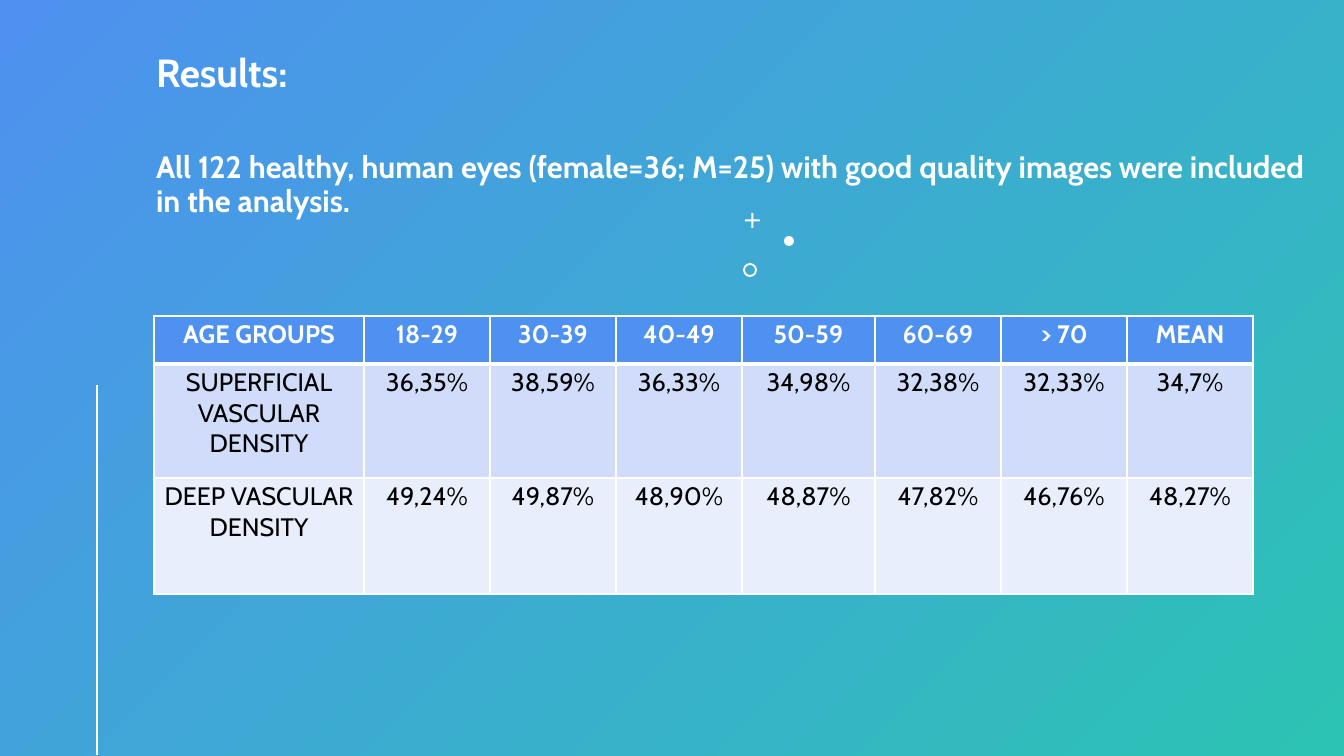
"""Build the results slide with vascular density by age group."""
from dataclasses import dataclass

from lxml import etree
from pptx import Presentation
from pptx import util as u
from pptx.dml.color import RGBColor
from pptx.enum import shapes, text
from pptx.oxml.ns import qn

SCALE = 914400 / 100.8
FONT = "Cabin"
WHITE = RGBColor(0xFF, 0xFF, 0xFF)
BLACK = RGBColor(0x00, 0x00, 0x00)
BLUE = RGBColor(0x4E, 0x91, 0xF0)
TEAL = RGBColor(0x2C, 0xC3, 0xB4)
PALE_BLUE = RGBColor(0xD0, 0xDC, 0xF9)
PALER_BLUE = RGBColor(0xE9, 0xEE, 0xFC)


@dataclass(frozen=True)
class Ornament:
    kind: shapes.MSO_SHAPE
    left: int
    top: int
    size: int
    adjustment: float | None = None


@dataclass(frozen=True)
class Row:
    height: int
    fill: RGBColor
    colour: RGBColor
    bold: bool
    top_border: int
    bottom_border: int
    values: tuple[str, ...]


@dataclass(frozen=True)
class Heading:
    words: str
    size: int
    space_before: int


HEADINGS = (
    Heading("Results:", 28, 0),
    Heading("All 122 healthy, human eyes (female=36; M=25) with good quality "
            "images were included in the analysis.", 22, 34),
)
ORNAMENTS = (
    Ornament(shapes.MSO_SHAPE.CROSS, 745, 213, 15, 0.43),
    Ornament(shapes.MSO_SHAPE.OVAL, 784, 236, 10),
    Ornament(shapes.MSO_SHAPE.DONUT, 743, 263, 14, 0.14),
)
COLUMNS = (210, 126, 126, 126, 133, 126, 126, 126)
ROWS = (
    Row(48, BLUE, WHITE, True, 1, 3,
        ("AGE GROUPS", "18-29", "30-39", "40-49", "50-59", "60-69", "> 70", "MEAN")),
    Row(114, PALE_BLUE, BLACK, False, 3, 1,
        ("SUPERFICIAL VASCULAR DENSITY", "36,35%", "38,59%", "36,33%",
         "34,98%", "32,38%", "32,33%", "34,7%")),
    Row(116, PALER_BLUE, BLACK, False, 1, 1,
        ("DEEP VASCULAR DENSITY", "49,24%", "49,87%", "48,90%",
         "48,87%", "47,82%", "46,76%", "48,27%")),
)


def px(length: int) -> u.Emu:
    return u.Emu(round(length * SCALE))


def style(para, size: int, colour: RGBColor, bold: bool) -> None:
    for span in para.runs:
        span.font.name = FONT
        span.font.size = u.Pt(size)
        span.font.bold = bold
        span.font.color.rgb = colour


def draw_backdrop(page) -> None:
    backdrop = page.shapes.add_shape(shapes.MSO_SHAPE.RECTANGLE, 0, 0, px(1344), px(756))
    backdrop.shadow.inherit = False
    backdrop.line.fill.background()
    backdrop.fill.gradient()
    backdrop.fill.gradient_angle = 315
    for stop, colour in zip(backdrop.fill.gradient_stops, (BLUE, TEAL)):
        stop.color.rgb = colour
    page.shapes.title.element.addprevious(backdrop.element)


def write_title(page) -> None:
    title = page.shapes.title
    title.left, title.top, title.width, title.height = map(px, (146, 21, 1178, 203))
    frame = title.text_frame
    frame.word_wrap = True
    frame.auto_size = text.MSO_AUTO_SIZE.NONE
    frame.vertical_anchor = text.MSO_ANCHOR.BOTTOM
    frame.text = "\n".join(heading.words for heading in HEADINGS)
    for para, heading in zip(frame.paragraphs, HEADINGS):
        para.alignment = text.PP_ALIGN.LEFT
        para.line_spacing = 0.9
        para.space_before = u.Pt(heading.space_before)
        para.space_after = u.Pt(6)
        style(para, heading.size, WHITE, True)


def draw_ornament(page, ornament: Ornament) -> None:
    size = px(ornament.size)
    mark = page.shapes.add_shape(ornament.kind, px(ornament.left), px(ornament.top), size, size)
    mark.shadow.inherit = False
    mark.fill.solid()
    mark.fill.fore_color.rgb = WHITE
    mark.line.fill.background()
    if ornament.adjustment is not None:
        mark.adjustments[0] = ornament.adjustment


def draw_side_line(page) -> None:
    line = page.shapes.add_connector(
        shapes.MSO_CONNECTOR.STRAIGHT, px(97), px(385), px(97), px(755))
    line.line.color.rgb = WHITE
    line.line.width = u.Pt(2)
    etree.SubElement(line.element.spPr, qn("a:effectLst"))


def set_borders(cell, row: Row) -> None:
    widths = {"L": 1, "R": 1, "T": row.top_border, "B": row.bottom_border}
    properties = cell._tc.get_or_add_tcPr()
    for position, (side, width) in enumerate(widths.items()):
        border = etree.Element(qn(f"a:ln{side}"), w=str(u.Pt(width)))
        fill = etree.SubElement(border, qn("a:solidFill"))
        etree.SubElement(fill, qn("a:srgbClr"), val=str(WHITE))
        properties.insert(position, border)


def fill_cell(cell, value: str, row: Row) -> None:
    cell.margin_left = cell.margin_right = px(6)
    cell.margin_top = cell.margin_bottom = px(3)
    cell.fill.solid()
    cell.fill.fore_color.rgb = row.fill
    set_borders(cell, row)
    cell.text_frame.text = value
    para = cell.text_frame.paragraphs[0]
    para.alignment = text.PP_ALIGN.CENTER
    style(para, 18, row.colour, row.bold)


def draw_table(page) -> None:
    height = sum(row.height for row in ROWS)
    table = page.shapes.add_table(
        len(ROWS), len(COLUMNS), px(154), px(316), px(sum(COLUMNS)), px(height)).table
    for column, width in zip(table.columns, COLUMNS):
        column.width = px(width)
    for table_row, row in zip(table.rows, ROWS):
        table_row.height = px(row.height)
        for cell, value in zip(table_row.cells, row.values):
            fill_cell(cell, value, row)


def main() -> None:
    deck = Presentation()
    deck.slide_width, deck.slide_height = px(1344), px(756)
    page = deck.slides.add_slide(deck.slide_layouts[5])
    draw_backdrop(page)
    write_title(page)
    for ornament in ORNAMENTS:
        draw_ornament(page, ornament)
    draw_side_line(page)
    draw_table(page)
    deck.save("out.pptx")


if __name__ == "__main__":
    main()
